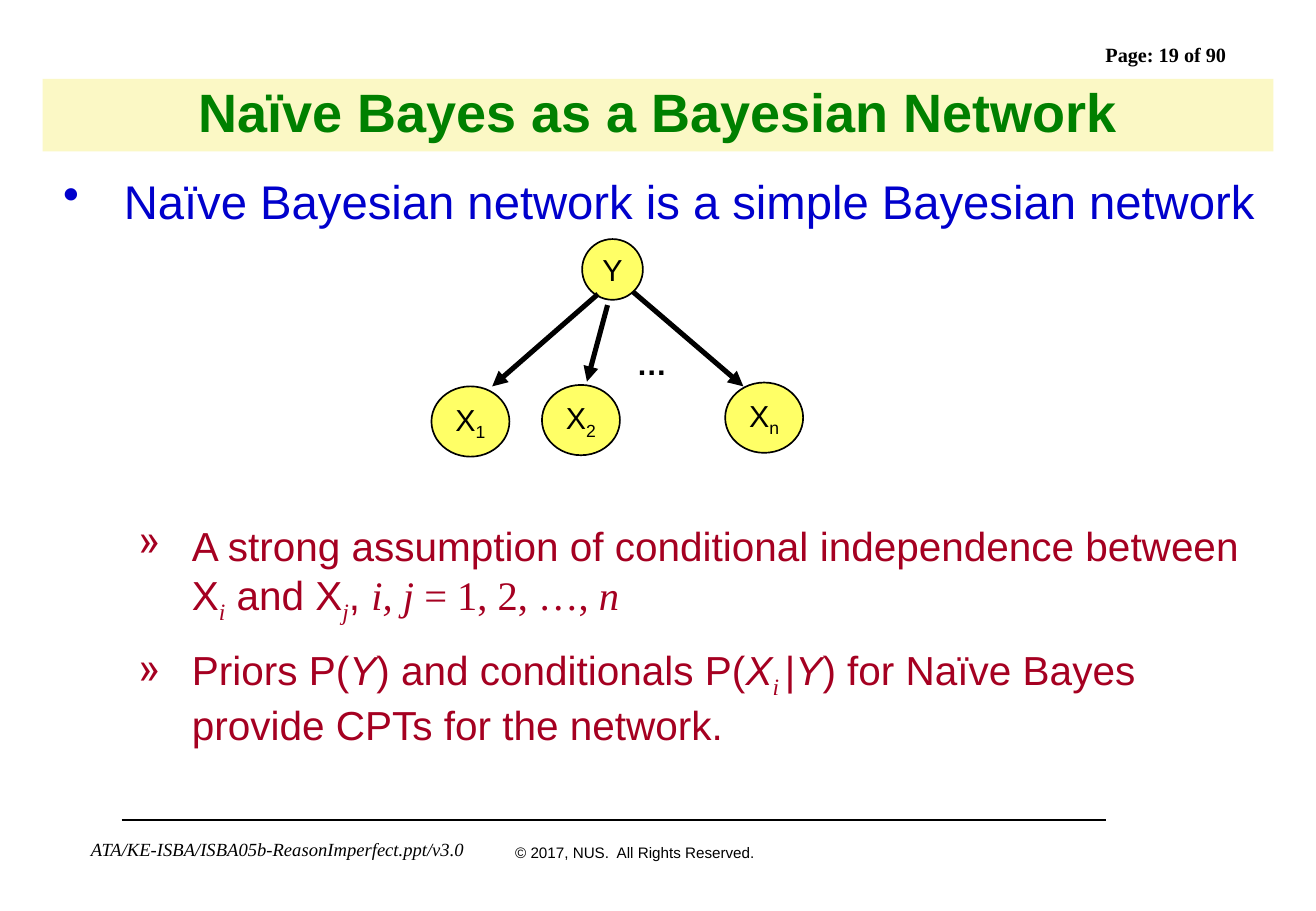
from dataclasses import dataclass

from pptx import Presentation
from pptx.dml.color import RGBColor
from pptx.enum.shapes import MSO_CONNECTOR, MSO_SHAPE
from pptx.enum.text import MSO_ANCHOR, PP_ALIGN
from pptx.oxml.ns import qn
from pptx.util import Cm, Pt
from lxml.etree import SubElement

BLACK = RGBColor(0x00, 0x00, 0x00)
CREAM = RGBColor(0xFB, 0xF8, 0xC5)
GREEN = RGBColor(0x00, 0x80, 0x00)
BLUE = RGBColor(0x00, 0x00, 0xCC)
CRIMSON = RGBColor(0xA5, 0x00, 0x21)
YELLOW = RGBColor(0xFF, 0xFF, 0x66)
SANS = "Arial"
SERIF = "Times New Roman"


@dataclass
class Span:
    text: str
    font: str = SANS
    bold: bool = False
    italic: bool = False
    subscript: bool = False


ASSUMPTION = [
    Span("A strong assumption of conditional independence between X"),
    Span("i", SERIF, italic=True, subscript=True),
    Span(" and X"),
    Span("j", SERIF, italic=True, subscript=True),
    Span(", "),
    Span("i, j ", SERIF, italic=True),
    Span("= 1, 2, …, ", SERIF),
    Span("n", SERIF, italic=True),
]
TABLES = [
    Span("Priors P("),
    Span("Y", italic=True),
    Span(") and conditionals P("),
    Span("X", italic=True),
    Span("i ", SERIF, italic=True, subscript=True),
    Span("|"),
    Span("Y", italic=True),
    Span(") for Naïve Bayes provide CPTs for the network."),
]
# subscript, left, top
CHILD_NODES = [("1", 9.02, 8.08), ("2", 11.33, 8.05), ("n", 15.16, 8.0)]
# start x, start y, end x, end y
ARROWS = [
    (12.5, 6.15, 10.29, 8.08),
    (12.7, 6.38, 12.27, 7.98),
    (13.23, 6.1, 15.54, 8.08),
]


def add_spans(para, spans, size, color):
    for span in spans:
        run = para.add_run()
        run.text = span.text
        run.font.name = span.font
        run.font.size = Pt(size)
        run.font.bold = span.bold
        run.font.italic = span.italic
        run.font.color.rgb = color
        if span.subscript:
            run._r.get_or_add_rPr().set("baseline", "-25000")


def add_text_box(page, left, top, width, height, wrap=False):
    box = page.shapes.add_textbox(Cm(left), Cm(top), Cm(width), Cm(height))
    box.text_frame.word_wrap = wrap
    return box.text_frame


def add_label(page, place, span, size):
    frame = add_text_box(page, *place)
    add_spans(frame.paragraphs[0], [span], size, BLACK)


def add_filled_shape(page, kind, place, fill):
    """Add a flat shape without outline and return it with its centred paragraph."""
    shape = page.shapes.add_shape(kind, *[Cm(value) for value in place])
    shape.shadow.inherit = False
    shape.fill.solid()
    shape.fill.fore_color.rgb = fill
    shape.line.fill.background()
    shape.text_frame.vertical_anchor = MSO_ANCHOR.MIDDLE
    para = shape.text_frame.paragraphs[0]
    para.alignment = PP_ALIGN.CENTER
    return shape, para


def add_title(page, text):
    place = (0.89, 1.65, 25.73, 1.52)
    _, para = add_filled_shape(page, MSO_SHAPE.RECTANGLE, place, CREAM)
    para.line_spacing = 0.9
    add_spans(para, [Span(text, bold=True)], 32, GREEN)


def add_node(page, place, spans):
    node, para = add_filled_shape(page, MSO_SHAPE.OVAL, place, YELLOW)
    node.line.color.rgb = BLACK
    node.line.width = Pt(1)
    node.text_frame.word_wrap = False
    add_spans(para, spans, 18, BLACK)


def add_line(page, start_x, start_y, end_x, end_y, width, arrow=False):
    line = page.shapes.add_connector(
        MSO_CONNECTOR.STRAIGHT, Cm(start_x), Cm(start_y), Cm(end_x), Cm(end_y))
    line.line.color.rgb = BLACK
    line.line.width = Pt(width)
    if arrow:
        SubElement(line.line._get_or_add_ln(), qn("a:tailEnd"), type="triangle")
    SubElement(line._element.spPr, qn("a:effectLst"))


def set_bullet(para, mark, margin, hanging):
    properties = para._p.get_or_add_pPr()
    properties.set("marL", str(Cm(margin)))
    properties.set("indent", str(-Cm(hanging)))
    SubElement(properties, qn("a:buChar"), char=mark)


def add_body(page):
    frame = add_text_box(page, 1.07, 3.48, 25.6, 13.24, wrap=True)
    main_point = frame.paragraphs[0]
    set_bullet(main_point, "•", 1.27, 1.27)
    add_spans(main_point, [Span("Naïve Bayesian network is a simple Bayesian network")],
              28, BLUE)
    # The first gap leaves room for the network diagram.
    for spans, gap in ((ASSUMPTION, 173), (TABLES, 12)):
        para = frame.add_paragraph()
        para.level = 1
        set_bullet(para, "»", 2.69, 1.12)
        para.space_before = Pt(gap)
        add_spans(para, spans, 24, CRIMSON)


def add_network(page):
    add_node(page, (12.17, 5, 1.27, 1.27), [Span("Y")])
    for index, left, top in CHILD_NODES:
        add_node(page, (left, top, 1.63, 1.47),
                 [Span("X"), Span(index, subscript=True)])
    add_label(page, (13.06, 7.09, 1.12, 1.07), Span("…", bold=True), 18)
    for ends in ARROWS:
        add_line(page, *ends, width=3, arrow=True)


def add_header_and_footer(page):
    add_line(page, 2.54, 17.15, 23.11, 17.15, width=1)
    add_label(page, (22.86, 0.76, 3.76, 0.76),
              Span("Page: 19 of 90", SERIF, bold=True), 12)
    add_label(page, (1.65, 17.4, 8.41, 0.71),
              Span("ATA/KE-ISBA/ISBA05b-ReasonImperfect.ppt/v3.0", SERIF, italic=True), 11)
    add_label(page, (10.52, 17.5, 5.56, 0.64),
              Span("© 2017, NUS.  All Rights Reserved."), 9)


def main():
    deck = Presentation()
    deck.slide_width, deck.slide_height = Cm(27.51), Cm(19.05)
    page = deck.slides.add_slide(deck.slide_layouts[6])
    add_header_and_footer(page)
    add_title(page, "Naïve Bayes as a Bayesian Network")
    add_body(page)
    add_network(page)
    deck.save("out.pptx")


if __name__ == "__main__":
    main()
